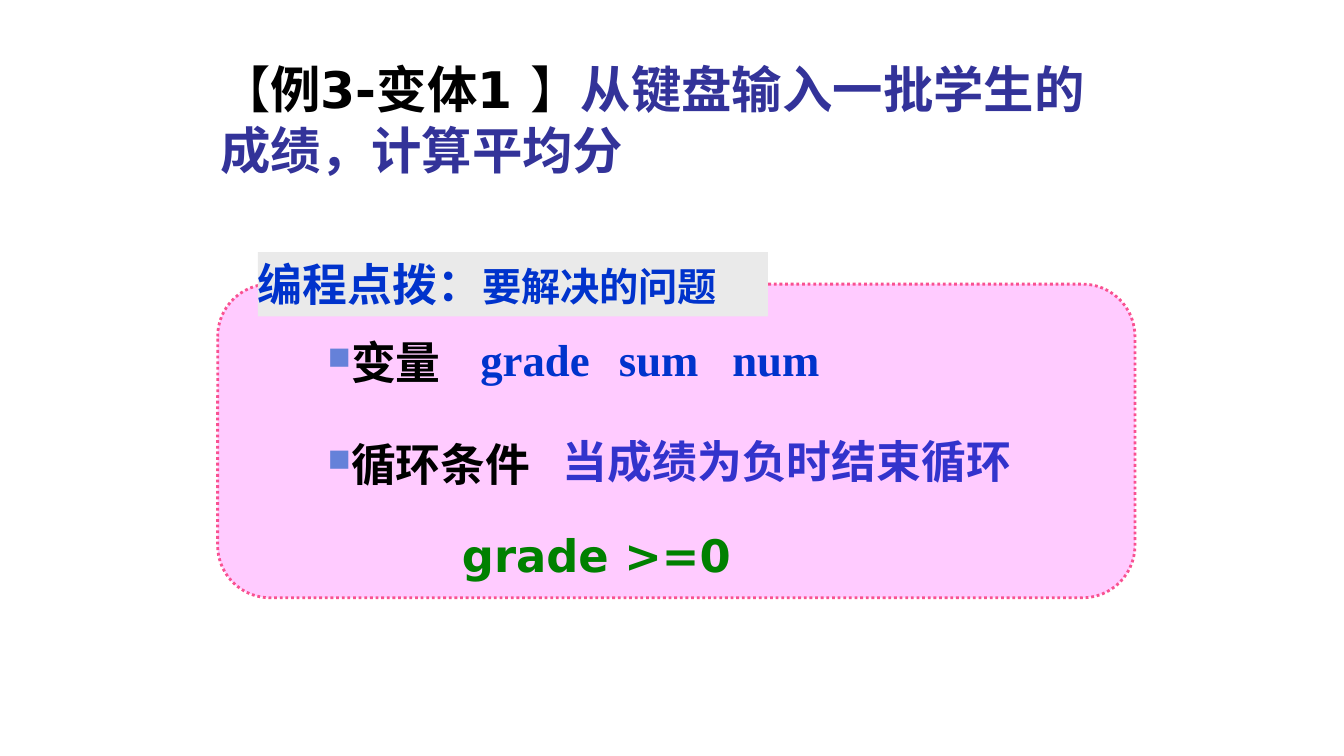
from collections import namedtuple
from dataclasses import dataclass

from lxml.etree import SubElement
from pptx import Presentation
from pptx.dml.color import RGBColor
from pptx.enum.dml import MSO_LINE
from pptx.enum.shapes import MSO_SHAPE
from pptx.enum.text import MSO_ANCHOR, MSO_AUTO_SIZE, PP_ALIGN
from pptx.oxml.ns import qn
from pptx.util import Pt

Box = namedtuple("Box", "left top width height")


@dataclass(frozen=True)
class Theme:
    sans: str = "DejaVu Sans"
    serif: str = "Times New Roman"
    title_size: int = 36
    text_size: int = 32
    small_size: int = 28
    black: str = "000000"
    navy: str = "333399"
    blue: str = "0033CC"
    violet: str = "3333CC"
    green: str = "008000"
    bullet: str = "6581D9"
    pink: str = "FF99FF"
    border: str = "F95191"
    gray: str = "EAEAEA"


THEME = Theme()


def color(value):
    return RGBColor.from_string(value)


def lengths(*values):
    return [Pt(value) for value in values]


def add_span(para, text, *, size=THEME.text_size, font=THEME.serif, fill=THEME.black, bold=True):
    span = para.add_run()
    span.text = text
    span.font.size = Pt(size)
    span.font.name = font
    span.font.bold = bold
    span.font.color.rgb = color(fill)


def set_frame(frame, side=0, anchor=MSO_ANCHOR.TOP, wrap=True):
    """Set insets, anchor and wrapping, and return the first paragraph."""
    frame.margin_left = frame.margin_right = Pt(side)
    frame.margin_top = frame.margin_bottom = Pt(3.6)
    frame.vertical_anchor = anchor
    frame.auto_size = MSO_AUTO_SIZE.NONE
    frame.word_wrap = wrap
    para = frame.paragraphs[0]
    para.alignment = PP_ALIGN.LEFT
    return para


def add_label(slide, box, text, *, side=0, wrap=True, spacing=None, **span_format):
    label = slide.shapes.add_textbox(*lengths(*box))
    para = set_frame(label.text_frame, side=side, wrap=wrap)
    para.line_spacing = spacing
    add_span(para, text, **span_format)
    return para


def add_bullet_label(slide, box, text):
    para = add_label(slide, box, text, spacing=0.9)
    properties = para._p.get_or_add_pPr()
    bullet_color = SubElement(properties, qn("a:buClr"))
    SubElement(bullet_color, qn("a:srgbClr"), val=THEME.bullet)
    SubElement(properties, qn("a:buSzPct"), val="70000")
    SubElement(properties, qn("a:buChar"), char="■")


def add_title(slide, box):
    title = slide.shapes.title
    title.left, title.top, title.width, title.height = lengths(*box)
    para = set_frame(title.text_frame, side=7.2, anchor=MSO_ANCHOR.BOTTOM)
    for text, fill, bold in (
        ("【", THEME.black, False),
        ("例3-变体1 ", THEME.black, True),
        ("】", THEME.black, False),
        ("从键盘输入一批学生的成绩，计算平均分", THEME.navy, True),
    ):
        add_span(para, text, size=THEME.title_size, font=THEME.sans, fill=fill, bold=bold)


def add_filled_shape(group, kind, box, fill):
    shape = group.shapes.add_shape(kind, *lengths(*box))
    shape.shadow.inherit = False
    shape.fill.solid()
    shape.fill.fore_color.rgb = color(fill)
    shape.line.fill.background()
    return shape


def add_panel(slide, box):
    """Draw the dotted pink panel with its heading across the top edge."""
    group = slide.shapes.add_group_shape()
    panel = add_filled_shape(group, MSO_SHAPE.ROUNDED_RECTANGLE, box, THEME.pink)
    panel.adjustments[0] = 0.167
    panel_color = panel.fill._xPr.find(qn("a:solidFill"))[0]
    SubElement(panel_color, qn("a:alpha"), val="50000")
    panel.line.color.rgb = color(THEME.border)
    panel.line.width = Pt(2)
    panel.line.dash_style = MSO_LINE.ROUND_DOT

    heading_box = Box(box.left + 28.8, box.top - 23, 364.3, 46)
    heading = add_filled_shape(group, MSO_SHAPE.RECTANGLE, heading_box, THEME.gray)
    para = set_frame(heading.text_frame)
    add_span(para, "编程点拨：", fill=THEME.blue)
    add_span(para, "要解决的问题", size=THEME.small_size, fill=THEME.blue)


def add_variables(slide, box):
    add_bullet_label(slide, Box(box.left, box.top + 6.5, 108, 42.5), "变量")
    for name, offset, width in (("grade", 102, 93.6), ("sum", 201, 72), ("num", 282, 77)):
        name_box = Box(box.left + offset, box.top, width, box.height)
        add_label(slide, name_box, name, side=7.2, wrap=False, fill=THEME.blue)


def add_loop_condition(slide, box):
    add_bullet_label(slide, Box(box.left, box.top + 6.5, 270, 42.5), "循环条件")
    rule_box = Box(box.left + 168, box.top, 378, 46)
    add_label(slide, rule_box, "当成绩为负时结束循环", fill=THEME.violet)
    test_box = Box(box.left + 96, box.top + 72, 282, 42.5)
    add_label(slide, test_box, "grade >=0", spacing=0.9, font=THEME.sans, fill=THEME.green)


def main():
    deck = Presentation()
    deck.slide_width, deck.slide_height = lengths(960, 540)
    slide = deck.slides.add_slide(deck.slide_layouts.get_by_name("Title Only"))
    add_title(slide, Box(150, 38, 666, 93.6))
    add_panel(slide, Box(155.5, 203, 655.2, 224))
    add_variables(slide, Box(234, 233.3, 360, 46))
    add_loop_condition(slide, Box(234, 306, 546, 114.5))
    deck.save("out.pptx")


if __name__ == "__main__":
    main()
